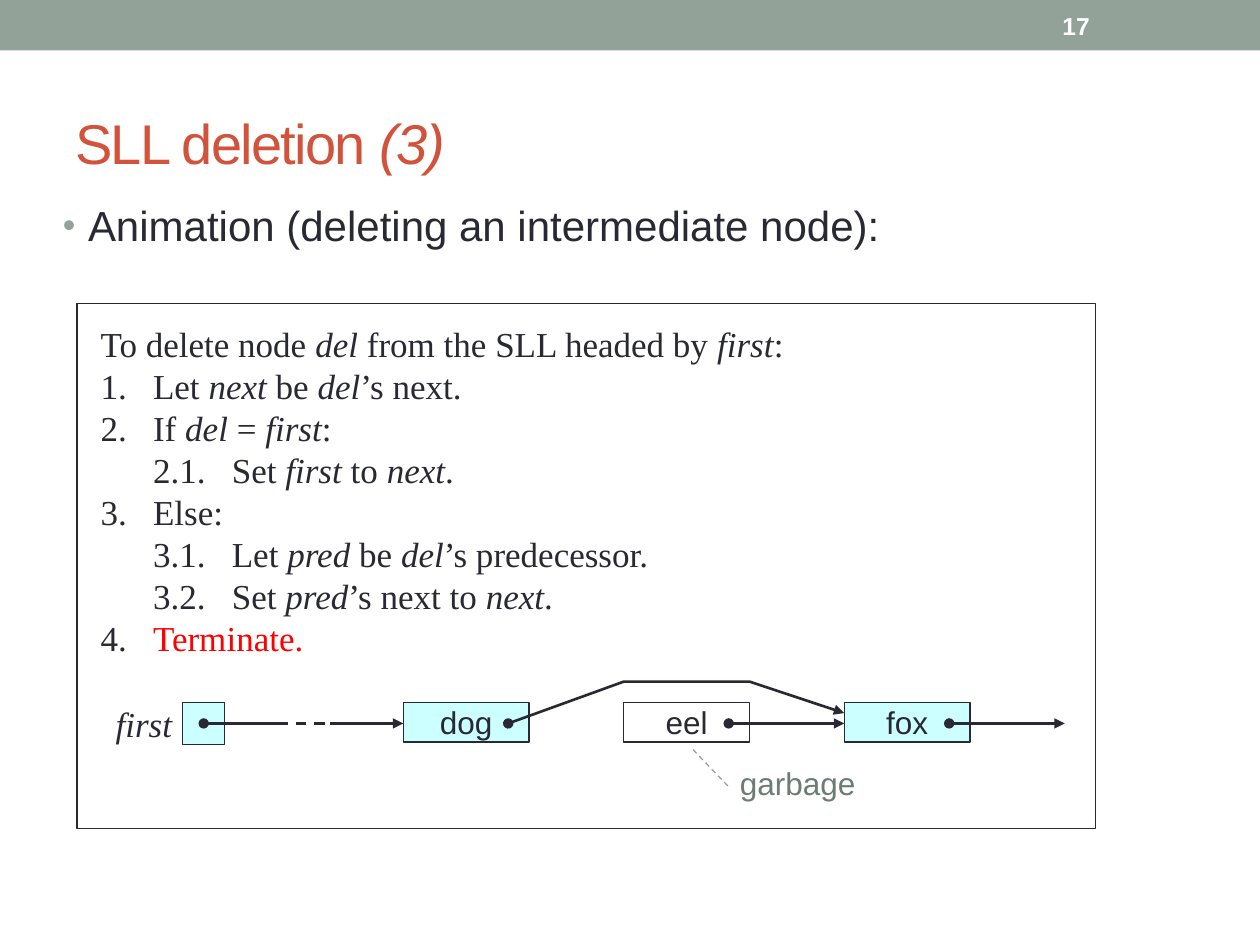
"""Build the slide on deleting an intermediate node from a singly linked list."""
import pptx
import pptx.chart.data
import pptx.dml.color
import pptx.enum.dml
import pptx.enum.shapes
import pptx.enum.text
import pptx.util
from lxml import etree

Pt = pptx.util.Pt
RGBColor = pptx.dml.color.RGBColor
SHAPE = pptx.enum.shapes.MSO_SHAPE
ALIGN = pptx.enum.text.PP_ALIGN
ANCHOR = pptx.enum.text.MSO_ANCHOR
DASH = pptx.enum.dml.MSO_LINE.DASH

INK = RGBColor(0x29, 0x29, 0x34)
SAGE = RGBColor(0x93, 0xA2, 0x99)
DARK_SAGE = RGBColor(0x6B, 0x7D, 0x72)
RUST = RGBColor(0xD2, 0x53, 0x3C)
CYAN = RGBColor(0xCC, 0xFF, 0xFF)
RED = RGBColor(0xFF, 0, 0)
WHITE = RGBColor(0xFF, 0xFF, 0xFF)
SANS, SERIF = "Arial", "Times New Roman"

TITLE = "SLL deletion *(3)*"
BULLET = "Animation (deleting an intermediate node):"
ALGORITHM = [
    "To delete node *del* from the SLL headed by *first*:",
    "1.\tLet *next* be *del*’s next.",
    "2.\tIf *del* = *first*:",
    "\t2.1.\tSet *first* to *next*.",
    "3.\tElse:",
    "\t3.1.\tLet *pred* be *del*’s predecessor.",
    "\t3.2.\tSet *pred*’s next to *next*.",
    "4.\t",
]
CURRENT_STEP = "Terminate."
TAB_STOPS = (30, 75)
NODES = [("dog", CYAN), ("eel", WHITE), ("fox", CYAN)]

NODE_LEFT, NODE_TOP, NODE_PITCH = 230.4, 401.5, 126
NODE_WIDTH, NODE_HEIGHT = 72, 22.5
HEAD_LEFT, HEAD_SIZE = 104.4, 24
LINK_Y, LINK_INSET = 413.4, 60
DASH_START, DASH_END = 158.4, 188.4
BYPASS_Y, BYPASS_END_Y = 389.5, 407.5


def add_pr_child(parent, tag, **attributes):
    element = etree.SubElement(parent, pptx.oxml.ns.qn(tag))
    for name, value in attributes.items():
        element.set(name, str(value))
    return element


def add_runs(paragraph, text, size, color, font=SANS, bold=None):
    for index, part in enumerate(text.split("*")):
        if part:
            run = paragraph.add_run()
            run.text = part
            run.font.name, run.font.size, run.font.bold = font, Pt(size), bold
            run.font.italic = index % 2 == 1
            run.font.color.rgb = color


def prepare_text(shape, anchor=ANCHOR.TOP, align=ALIGN.LEFT, inset=True):
    frame = shape.text_frame
    frame.word_wrap = True
    frame.vertical_anchor = anchor
    if not inset:
        frame.margin_left = frame.margin_right = 0
        frame.margin_top = frame.margin_bottom = 0
    paragraph = frame.paragraphs[0]
    paragraph.alignment = align
    return paragraph


def add_text(slide, box, **options):
    return prepare_text(slide.shapes.add_textbox(*map(Pt, box)), **options)


def add_box(slide, box, fill, line=INK, kind=SHAPE.RECTANGLE):
    shape = slide.shapes.add_shape(kind, *map(Pt, box))
    shape.shadow.inherit = False
    if fill is None:
        shape.fill.background()
    else:
        shape.fill.solid()
        shape.fill.fore_color.rgb = fill
    if line is None:
        shape.line.fill.background()
    else:
        shape.line.color.rgb = line
        shape.line.width = Pt(0.75)
    return shape


def style_link(link, dot, arrow):
    link.line.color.rgb = INK
    link.line.width = Pt(1.5)
    line = link.line._get_or_add_ln()
    if dot:
        add_pr_child(line, "a:headEnd", type="oval")
    if arrow:
        add_pr_child(line, "a:tailEnd", type="triangle")


def add_link(slide, start, end, dot=False, arrow=False):
    link = slide.shapes.add_connector(
        pptx.enum.shapes.MSO_CONNECTOR.STRAIGHT, Pt(start), Pt(LINK_Y), Pt(end), Pt(LINK_Y))
    style_link(link, dot, arrow)
    add_pr_child(link._element.spPr, "a:effectLst")
    return link


def add_algorithm(slide):
    add_box(slide, (44, 173.5, 582, 300), WHITE)
    paragraph = add_text(slide, (50.4, 180.5, 492, 200))
    paragraph.line_spacing = Pt(24)
    tabs = add_pr_child(paragraph._p.get_or_add_pPr(), "a:tabLst")
    for stop in TAB_STOPS:
        add_pr_child(tabs, "a:tab", pos=Pt(stop), algn="l")
    for index, line in enumerate(ALGORITHM):
        if index:
            paragraph.add_line_break()
        add_runs(paragraph, line, 20, INK, SERIF)
    add_runs(paragraph, CURRENT_STEP, 20, RED, SERIF)


def add_list_diagram(slide):
    add_box(slide, (HEAD_LEFT, NODE_TOP, HEAD_SIZE, HEAD_SIZE), CYAN)
    lefts = [NODE_LEFT + index * NODE_PITCH for index in range(len(NODES))]
    for left, (name, fill) in zip(lefts, NODES):
        node = add_box(slide, (left, NODE_TOP, NODE_WIDTH, NODE_HEIGHT), fill)
        label = prepare_text(node, ANCHOR.MIDDLE, ALIGN.CENTER, inset=False)
        add_runs(label, name, 18, INK)
    for left in lefts[1:]:
        add_link(slide, left + LINK_INSET, left + NODE_PITCH, dot=True, arrow=True)

    label = add_text(slide, (50, NODE_TOP, 48.4, 24), align=ALIGN.RIGHT, inset=False)
    label.line_spacing = Pt(24)
    add_runs(label, "*first*", 20, INK, SERIF)
    add_link(slide, HEAD_LEFT + HEAD_SIZE / 2, DASH_START, dot=True)
    add_link(slide, DASH_END, NODE_LEFT, arrow=True)
    add_link(slide, DASH_START, DASH_END).line.dash_style = DASH.DASH

    dog, eel, fox = lefts
    points = [(eel, BYPASS_Y), (eel + NODE_WIDTH, BYPASS_Y), (fox, BYPASS_END_Y)]
    builder = slide.shapes.build_freeform(Pt(dog + LINK_INSET), Pt(LINK_Y))
    builder.add_line_segments([(Pt(x), Pt(y)) for x, y in points], close=False)
    bypass = builder.convert_to_shape()
    bypass.shadow.inherit = False
    bypass.fill.background()
    style_link(bypass, dot=True, arrow=True)

    garbage = add_box(slide, (422, 440, 67.5, 19.5), None, SAGE, SHAPE.LINE_CALLOUT_1_NO_BORDER)
    garbage.line.dash_style = DASH.DASH
    for index, value in enumerate((0.47, -0.09, -0.65, -0.4)):
        garbage.adjustments[index] = value
    label = prepare_text(garbage, align=ALIGN.CENTER, inset=False)
    label.line_spacing = Pt(18)
    add_runs(label, "garbage", 18, DARK_SAGE)


def add_headings(slide):
    title = add_text(slide, (36, 42, 648, 78), anchor=ANCHOR.MIDDLE)
    add_runs(title, TITLE, 32, RUST)
    for run in title.runs:
        run.font._element.set("spc", "-100")
    bullet = add_text(slide, (28.8, 110.5, 600, 40))
    properties = bullet._p.get_or_add_pPr()
    properties.set("marL", str(Pt(14.4)))
    properties.set("indent", str(Pt(-14.4)))
    color = add_pr_child(properties, "a:buClr")
    add_pr_child(color, "a:srgbClr", val=SAGE)
    add_pr_child(properties, "a:buSzPct", val=85000)
    add_pr_child(properties, "a:buFont", typeface=SANS)
    add_pr_child(properties, "a:buChar", char="•")
    add_runs(bullet, BULLET, 24, INK)
    number = add_text(slide, (600, 1.5, 84, 26), anchor=ANCHOR.MIDDLE)
    add_runs(number, "17", 14, WHITE, bold=True)


def main():
    presentation = pptx.Presentation()
    presentation.slide_width, presentation.slide_height = Pt(720), Pt(540)
    slide = presentation.slides.add_slide(presentation.slide_layouts[6])
    add_box(slide, (0, 0, 720, 28.8), SAGE, None)
    add_algorithm(slide)
    add_list_diagram(slide)
    add_headings(slide)
    presentation.save("out.pptx")


if __name__ == "__main__":
    main()
